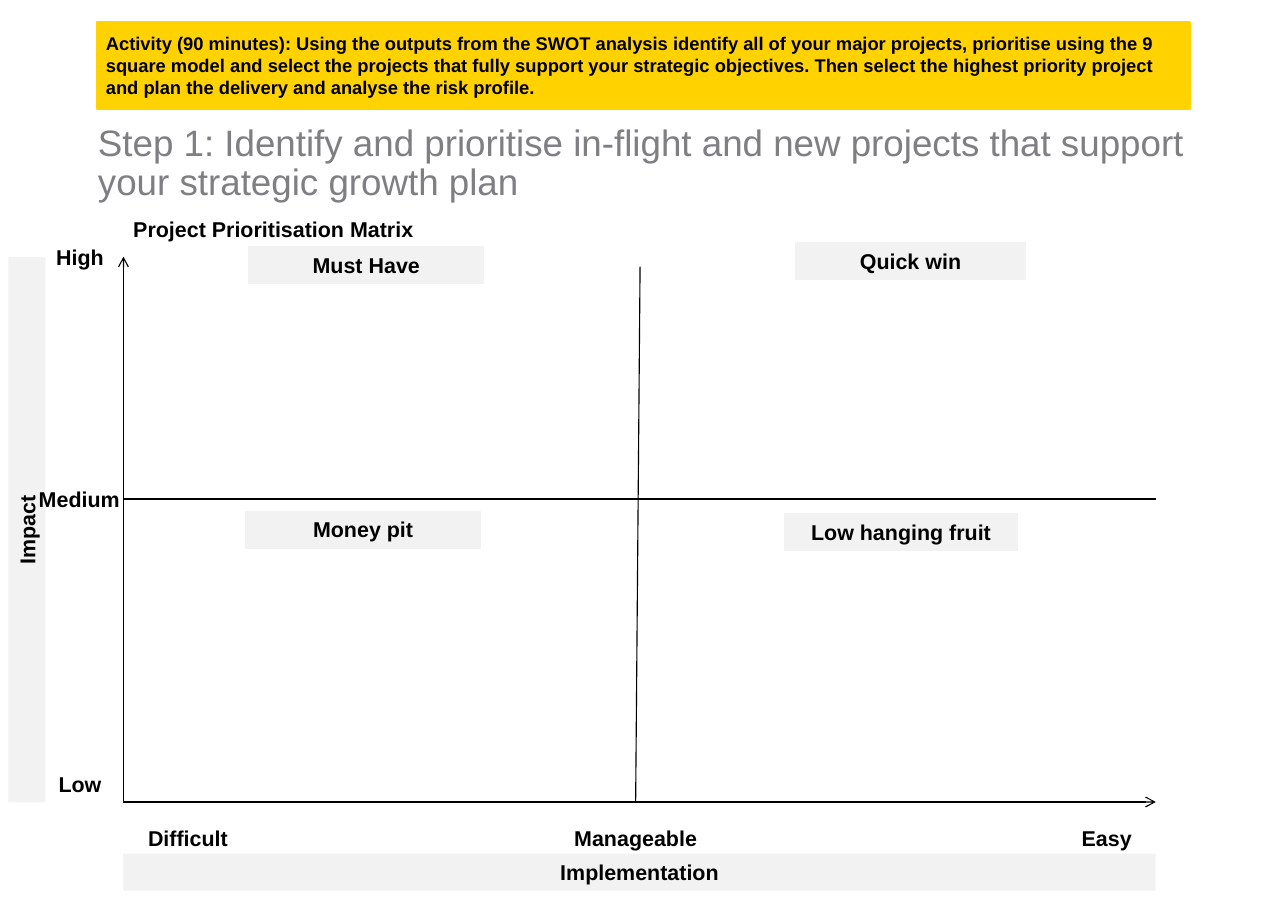
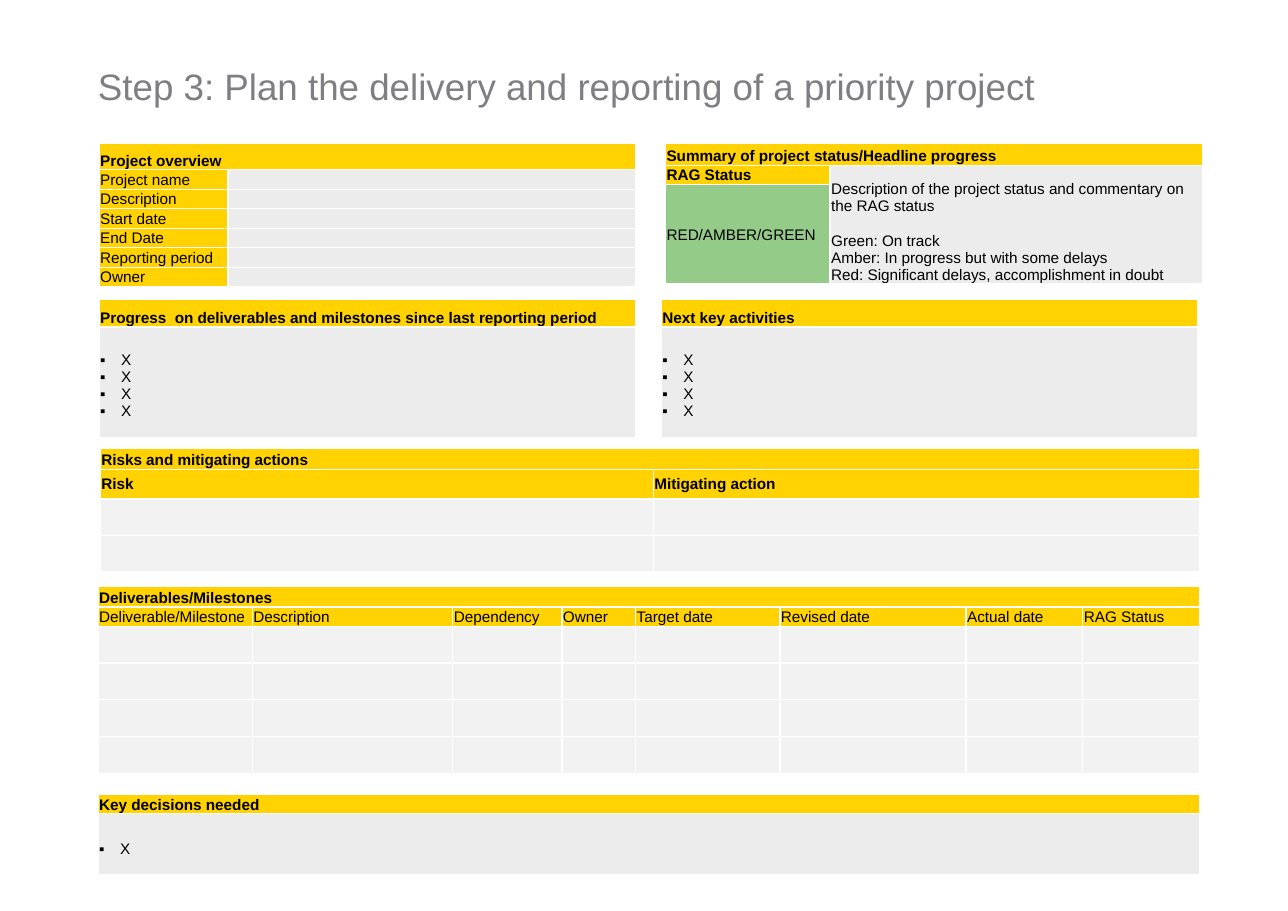
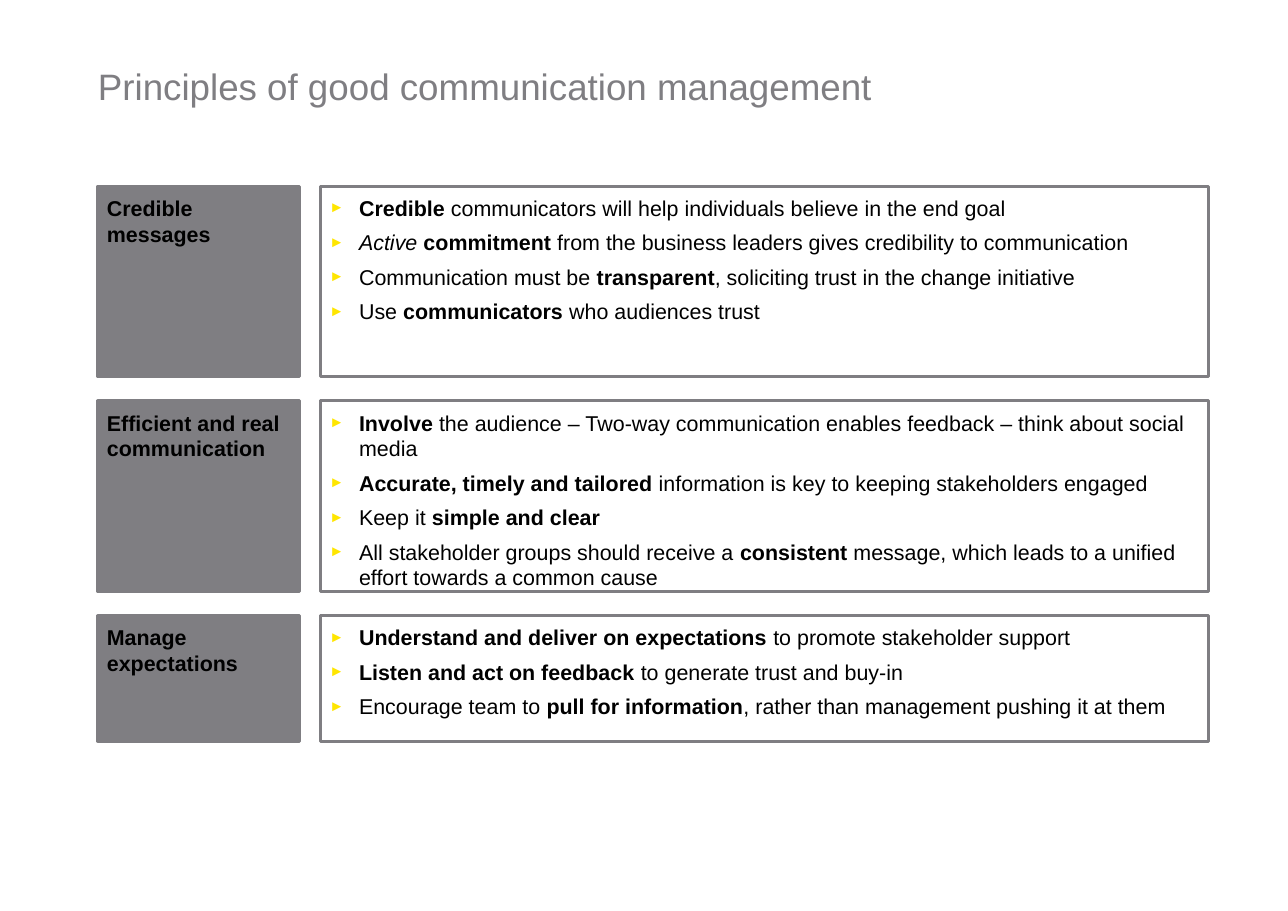
"""Build three A4 slides on project prioritisation, delivery and communication."""
import pptx
import pptx.chart.data
import pptx.dml.color
import pptx.enum.shapes
import pptx.enum.text
import pptx.oxml
import pptx.oxml.ns
import pptx.util
from lxml import etree

Pt = pptx.util.Pt
qn = pptx.oxml.ns.qn
ANCHOR = pptx.enum.text.MSO_ANCHOR
ALIGN = pptx.enum.text.PP_ALIGN
RECTANGLE = pptx.enum.shapes.MSO_SHAPE.RECTANGLE
STRAIGHT = pptx.enum.shapes.MSO_CONNECTOR.STRAIGHT

HEX = {"yellow": "FFD200", "bullet": "FFE600", "grey": "7F7E82", "pale": "F2F2F2",
       "cell": "ECECED", "green": "95CB89", "black": "000000", "white": "FFFFFF"}
COLOURS = {name: pptx.dml.color.RGBColor.from_string(code) for name, code in HEX.items()}

TITLE = {"size": 24, "colour": "grey", "para": {"line_spacing": 0.9}}
LABEL = {"size": 14, "bold": True, "para": {"alignment": ALIGN.CENTER}}
HEADING = {"size": 14, "bold": True}
ACTIVITY = {"size": 12, "bold": True}
PRINCIPLE = {"size": 14, "para": {"space_after": Pt(5.7)},
             "bullet": {"char": "►", "indent": 19.4, "colour": "bullet", "scale": 70}}
CELL = {"size": 10}
CELL_BOLD = {"size": 10, "bold": True}
CELL_LIST = {"size": 10, "bullet": {"char": "▪", "indent": 13.7}}


def write(frame, lines, look):
    """Fill a text frame; a line is a string or a list of (text, emphasis) spans."""
    for index, line in enumerate(lines):
        para = frame.paragraphs[0] if index == 0 else frame.add_paragraph()
        for name, value in look.get("para", {}).items():
            setattr(para, name, value)
        bullet = look.get("bullet")
        if bullet:
            props = para._p.get_or_add_pPr()
            props.set("marL", str(Pt(bullet["indent"])))
            props.set("indent", str(-Pt(bullet["indent"])))
            if "colour" in bullet:
                tint = etree.SubElement(props, qn("a:buClr"))
                etree.SubElement(tint, qn("a:srgbClr"), val=HEX[bullet["colour"]])
                etree.SubElement(props, qn("a:buSzPct"), val=str(bullet["scale"] * 1000))
            etree.SubElement(props, qn("a:buFont"), typeface="Arial")
            etree.SubElement(props, qn("a:buChar"), char=bullet["char"])
        if not line:
            etree.SubElement(para._p, qn("a:endParaRPr"), sz=str(look["size"] * 100))
            continue
        for text, emphasis in [(line, "")] if isinstance(line, str) else line:
            span = para.add_run()
            span.text = text
            font = {"name": "Arial", "size": Pt(look["size"]), "italic": emphasis == "italic",
                    "bold": look.get("bold", False) or emphasis == "bold"}
            for name, value in font.items():
                setattr(span.font, name, value)
            span.font.color.rgb = COLOURS[look.get("colour", "black")]


def draw_box(page, at, lines, look, fill=None, line=None, weight=0.75, inset=None,
             anchor=ANCHOR.TOP):
    """Add a text box, or a rectangle when it has a fill or an outline."""
    place = [Pt(value) for value in at]
    if fill or line:
        box = page.shapes.add_shape(RECTANGLE, *place)
        box.shadow.inherit = False
        if fill:
            box.fill.solid()
            box.fill.fore_color.rgb = COLOURS[fill]
        else:
            box.fill.background()
        if line:
            box.line.color.rgb = COLOURS[line]
            box.line.width = Pt(weight)
        else:
            box.line.fill.background()
    else:
        box = page.shapes.add_textbox(*place)
    frame = box.text_frame
    settings = {"word_wrap": True, "vertical_anchor": anchor}
    if inset is not None:
        settings.update({"margin_" + side: Pt(inset) for side in ("left", "top", "right", "bottom")})
    for name, value in settings.items():
        setattr(frame, name, value)
    for para in frame.paragraphs:
        para.alignment = ALIGN.LEFT
    write(frame, lines, look)
    return box


deck = pptx.Presentation()
deck.slide_width, deck.slide_height = Pt(841.68), Pt(595.44)
titles = [
    ("Step 1: Identify and prioritise in-flight and new projects that support "
     "your strategic growth plan", 85, 714.2),
    ("Step 3: Plan the delivery and reporting of a priority project", 23, 714.2),
    ("Principles of good communication management", 23, 748),
]
pages = []
for title, top, width in titles:
    page = deck.slides.add_slide(deck.slide_layouts[6])
    draw_box(page, (64, top, width, 48.2), [title], TITLE, inset=0, anchor=ANCHOR.BOTTOM)
    pages.append(page)
matrix_page, plan_page, principles_page = pages

draw_box(matrix_page, (63.4, 14.4, 714.2, 56.9),
         ["Activity (90 minutes): Using the outputs from the SWOT analysis identify all of your "
          "major projects, prioritise using the 9 square model and select the projects that fully "
          "support your strategic objectives. Then select the highest priority project and plan "
          "the delivery and analyse the risk profile."],
         ACTIVITY, "yellow", "yellow", 1, 5.76, ANCHOR.MIDDLE)

axis_left, axis_right, axis_bottom = 80.7, 755.3, 524.2
matrix_lines = [
    (axis_left, axis_bottom, axis_left, 167.8, True),
    (axis_left, axis_bottom, axis_right, axis_bottom, True),
    (418.3, 174.2, 415.4, axis_bottom, False),
    (axis_left, 326.2, axis_right, 326.2, False),
]
for *ends, arrow in matrix_lines:
    rule = matrix_page.shapes.add_connector(STRAIGHT, *[Pt(value) for value in ends])
    rule.line.color.rgb = COLOURS["black"]
    rule.line.width = Pt(0.75)
    if arrow:
        etree.SubElement(rule.line._get_or_add_ln(), qn("a:tailEnd"), type="arrow")
    etree.SubElement(rule._element.spPr, qn("a:effectLst"))

label_height = 24.2
draw_box(matrix_page, (80, 137.5, 318, label_height), ["Project Prioritisation Matrix"], HEADING)
impact = draw_box(matrix_page, (-160.6, 334.2, 356.4, label_height), ["Impact"], LABEL, "pale")
impact.rotation = 270
draw_box(matrix_page, (axis_left, 558, axis_right - axis_left, label_height),
         ["Implementation"], LABEL, "pale")
scale_labels = [
    ("High", 23.8, 156.2, 56.9), ("Medium", 17.3, 313.9, 69.1), ("Low", 23.8, 500.4, 56.9),
    ("Difficult", 80, 535.7, 85.7), ("Manageable", 364.3, 535.7, 102.2),
    ("Easy", 680.4, 535.7, 85.7),
]
for text, left, top, width in scale_labels:
    draw_box(matrix_page, (left, top, width, label_height), [text], LABEL)
quadrants = [
    ("Must Have", 162.7, 161.3, 153.4), ("Quick win", 519.8, 158.4, 150.5),
    ("Money pit", 160.6, 334.1, 153.4), ("Low hanging fruit", 512.6, 335.5, 152.6),
]
for text, left, top, width in quadrants:
    draw_box(matrix_page, (left, top, width, label_height), [text], LABEL, "pale", "pale")

overview_names = ["Project name", "Description", "Start date", "End Date", "Reporting period",
                  "Owner"]
deliverable_names = ["Deliverable/Milestone", "Description", "Dependency", "Owner", "Target date",
                     "Revised date", "Actual date", "RAG Status"]
status_lines = ["Description of the project status and commentary on the RAG status",
                "Green: On track", "Amber: In progress but with some delays",
                "Red: Significant delays, accomplishment in doubt"]
field = ([""], "cell", CELL)
entry = ([""], "pale", CELL)
four_marks = (["X"] * 4, "cell", CELL_LIST)
tables = [
    ("Project overview", 64.8, 93.6, [84.3, 266.4], [17.3] + [11.75] * 6,
     [[([name], "yellow", CELL), field] for name in overview_names]),
    ("Summary of project status/Headline progress", 434.9, 93.6, [107.6, 243.4],
     [14.4, 11.75, 64.8],
     [[(["RAG Status"], "yellow", CELL_BOLD), (status_lines, "cell", CELL)],
      [(["RED/AMBER/GREEN"], "green", CELL), field]]),
    ("Progress  on deliverables and milestones since last reporting period", 64.8, 195.8,
     [350.6], [18, 72], [[four_marks]]),
    ("Next key activities", 432.2, 195.8, [350.6], [18, 72], [[four_marks]]),
    ("Deliverables/Milestones", 64.1, 383, [100.8, 131, 71.3, 48.2, 94.3, 121.7, 76.3, 76.3],
     [13.7, 11.5] + [24] * 4,
     [[([name], "yellow", CELL) for name in deliverable_names]] + [[entry] * 8] * 4),
    ("Risks and mitigating actions", 65.5, 293, [361.4, 357.1], [13.7, 19.4, 23.8, 23.8],
     [[([name], "yellow", CELL_BOLD) for name in ("Risk", "Mitigating action")]]
     + [[entry] * 2] * 2),
    ("Key decisions needed", 64.1, 519.1, [720], [11, 40], [[(["X"], "cell", CELL_LIST)]]),
]
for heading, left, top, widths, heights, body in tables:
    holder = plan_page.shapes.add_table(len(heights), len(widths), Pt(left), Pt(top),
                                        Pt(sum(widths)), Pt(sum(heights)))
    table = holder.table
    table.first_row = table.horz_banding = False
    for column, width in zip(table.columns, widths):
        column.width = Pt(width)
    for row, height in zip(table.rows, heights):
        row.height = Pt(height)
    header = [([heading], "yellow", CELL_BOLD)] + [([""], "yellow", CELL)] * (len(widths) - 1)
    for row_index, row in enumerate([header] + body):
        for column_index, (lines, fill, look) in enumerate(row):
            cell = table.cell(row_index, column_index)
            is_list = look is CELL_LIST
            low = row_index == 0 or is_list or lines is status_lines
            settings = {"margin_left": Pt(0.72), "margin_top": Pt(0.72), "margin_right": Pt(0.72),
                        "margin_bottom": Pt(11.5 if is_list else 0),
                        "vertical_anchor": ANCHOR.BOTTOM if low else ANCHOR.MIDDLE}
            for name, value in settings.items():
                setattr(cell, name, value)
            for side in ("a:lnL", "a:lnR", "a:lnT", "a:lnB"):
                edge = etree.SubElement(cell._tc.get_or_add_tcPr(), qn(side), w=str(Pt(1)))
                paint = etree.SubElement(edge, qn("a:solidFill"))
                etree.SubElement(paint, qn("a:srgbClr"), val=HEX["white"])
            cell.fill.solid()
            cell.fill.fore_color.rgb = COLOURS[fill]
            write(cell.text_frame, lines, look)
            if lines is status_lines:
                cell.text_frame.paragraphs[1].space_before = Pt(11.5)
                cell.merge(table.cell(row_index + 1, column_index))
    if len(widths) > 1:
        table.cell(0, 0).merge(table.cell(0, len(widths) - 1))

principles = [
    ("Credible messages", 124.6, [
        [("Credible", "bold"), (" communicators will help individuals believe in the end goal", "")],
        [("Active ", "italic"), ("commitment", "bold"),
         (" from the business leaders gives credibility to communication", "")],
        [("Communication must be ", ""), ("transparent", "bold"),
         (", soliciting trust in the change initiative", "")],
        [("Use ", ""), ("communicators", "bold"), (" who audiences trust", "")]]),
    ("Efficient and real communication", 124.6, [
        [("Involve", "bold"), (" the audience – Two-way communication enables feedback – "
                               "think about social media", "")],
        [("Accurate, timely and tailored ", "bold"),
         ("information is key to keeping stakeholders engaged", "")],
        [("Keep it ", ""), ("simple and clear", "bold")],
        [("All stakeholder groups should receive a ", ""), ("consistent", "bold"),
         (" message, which leads to a unified effort towards a common cause", "")]]),
    ("Manage expectations", 82.1, [
        [("Understand and deliver on expectations ", "bold"),
         ("to promote stakeholder support", "")],
        [("Listen and act on feedback ", "bold"), ("to generate trust and buy-in", "")],
        [("Encourage team to ", ""), ("pull for information", "bold"),
         (", rather than management pushing it at them", "")]]),
]
top = 121.7
for heading, height, points in principles:
    draw_box(principles_page, (209.5, top, 580.3, height), points, PRINCIPLE,
             None, "grey", 2, 5.76)
    draw_box(principles_page, (64.1, top, 131.8, height), [heading], HEADING,
             "grey", "grey", 2, 5.76)
    top += height + 15.8

deck.save("out.pptx")
